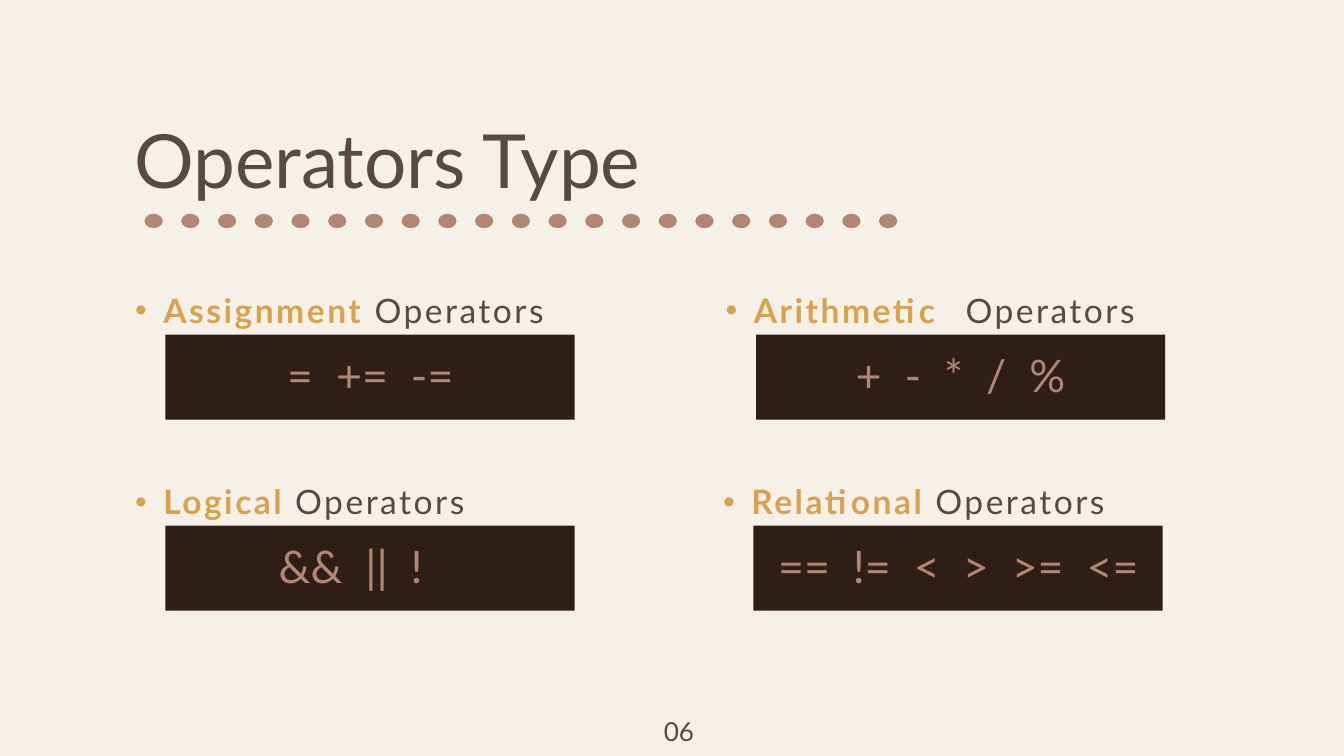
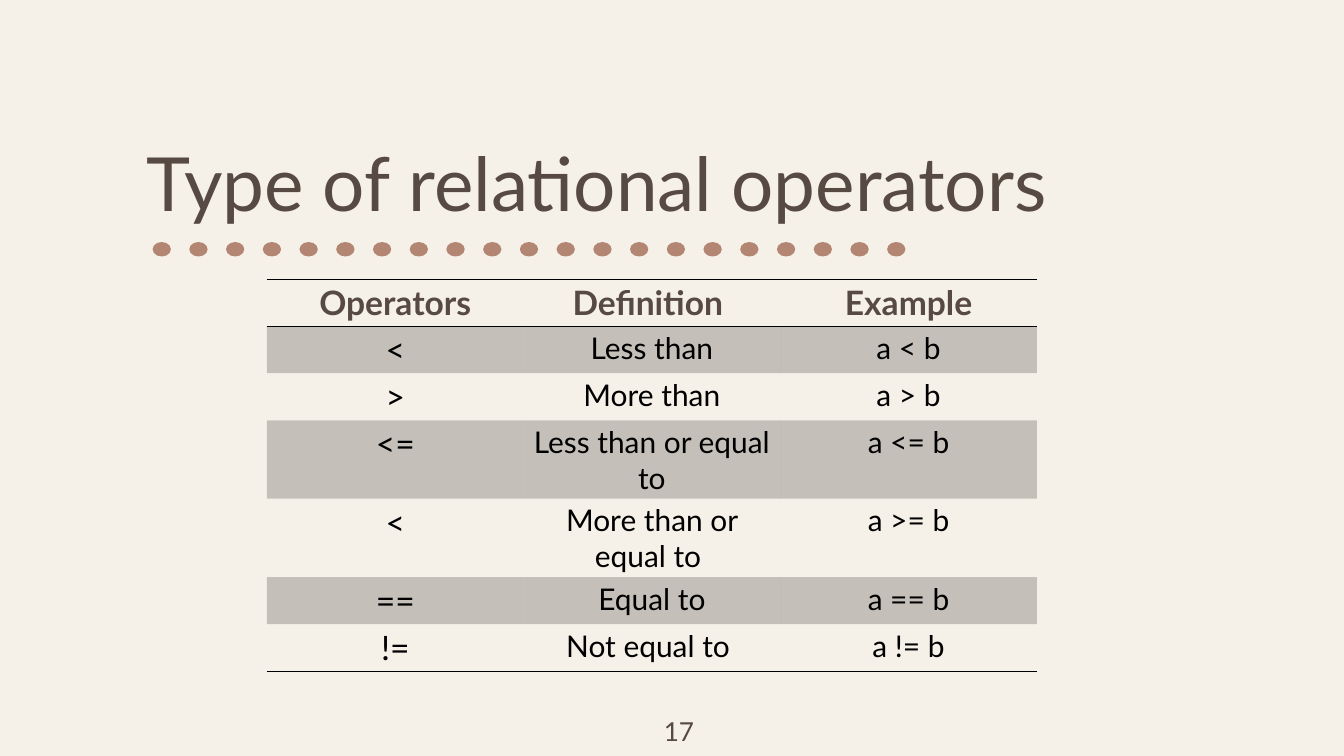
from math import cos, pi, sin

from lxml.etree import SubElement
from pptx import Presentation
from pptx.dml.color import RGBColor
from pptx.enum.shapes import MSO_SHAPE as Preset
from pptx.enum.text import PP_ALIGN as Align
from pptx.oxml.ns import qn
from pptx.util import Pt

CREAM = "F6F1E8"
BROWN = "574A43"
CLAY = "B28672"
GOLD = "D8A251"
DARK = "2E1E15"
BLACK = "000000"

TITLE = {"size": Pt(80), "color": BROWN}
NUMBER = {"size": Pt(28), "color": BROWN}
KIND = {"size": Pt(36), "color": GOLD, "bold": True, "spacing": 2.7}
KIND_REST = {**KIND, "color": BROWN, "bold": False}
SYMBOL = {"size": Pt(48), "color": CLAY}
SYMBOL_GAP = {**SYMBOL, "spacing": 12.3}
HEADER = {"size": Pt(36), "color": BROWN, "bold": True}
OPERATOR = {"size": Pt(36), "color": BLACK}
BODY = {"size": Pt(32), "color": BLACK}

DOT_COUNT = 21
DOT_PITCH = 39.35
DOT_RADII = (9.8, 7.75)
DOT_CORNERS = 12
PANEL_SIZE = (438.5, 91)
OPERATOR_GROUPS = [
    (177.3, 358.56, 564.5, "Assignment ", ["=", "+=", "-="], -11.5),
    (177.3, 563.3, 1065.6, "Logical ", ["&&", "||", "!"], -32.5),
    (807.3, 563.3, 514, "Relational ", ["==", "!=", "<", ">", ">=", "<="], -11.5),
    (810, 358.56, 693, "Arithmetic\t", ["+", "-", "*", "/", "%"], -12),
]
RELATIONAL_ROWS = [
    ("Operators", "Definition ", "Example"),
    ("<", "Less than", "a < b"),
    (">", "More than", "a > b"),
    ("<=", "Less than or equal to", "a <= b"),
    ("<", "More than or equal to ", "a >= b"),
    ("==", "Equal to", "a == b"),
    ("!=", "Not equal to ", "a != b"),
]


def color(code):
    return RGBColor.from_string(code)


def points(*lengths):
    return [Pt(length) for length in lengths]


def add_span(para, text, look):
    span = para.add_run()
    span.text = text
    span.font.name = "Lato"
    for name, value in look.items():
        if name == "color":
            span.font.color.rgb = color(value)
        elif name == "spacing":
            span.font._element.set("spc", str(round(value * 100)))
        else:
            setattr(span.font, name, value)


def add_text(page, area, spans, leading, align=Align.LEFT):
    box = page.shapes.add_textbox(*points(*area))
    frame = box.text_frame
    frame.word_wrap = True
    for side in ("left", "right", "top", "bottom"):
        setattr(frame, f"margin_{side}", 0)
    para = frame.paragraphs[0]
    para.alignment = align
    para.line_spacing = Pt(leading)
    for text, look in spans:
        add_span(para, text, look)
    return para


def add_bullet(para, margin, indent):
    properties = para._p.get_or_add_pPr()
    settings = {"marL": margin, "indent": indent, "defTabSz": 72}
    for name, value in settings.items():
        properties.set(name, str(Pt(value)))
    SubElement(properties, qn("a:buFont"), typeface="Arial")
    SubElement(properties, qn("a:buChar"), char="•")


def paint(shape, fill):
    shape.shadow.inherit = False
    shape.fill.solid()
    shape.fill.fore_color.rgb = color(fill)
    shape.line.fill.background()


def dot_outline(center_x, center_y):
    radius_x, radius_y = DOT_RADII
    angles = [2 * pi * corner / DOT_CORNERS for corner in range(DOT_CORNERS)]
    return [points(center_x + radius_x * cos(angle), center_y + radius_y * sin(angle))
            for angle in angles]


def add_dots(page, left, top):
    radius_x, radius_y = DOT_RADII
    outlines = [dot_outline(left + radius_x + index * DOT_PITCH, top + radius_y)
                for index in range(DOT_COUNT)]
    builder = page.shapes.build_freeform(*outlines[0][0])
    for index, outline in enumerate(outlines):
        if index:
            builder.move_to(*outline[0])
        builder.add_line_segments(outline[1:], close=True)
    paint(builder.convert_to_shape(), CLAY)


def add_page(deck, title, title_area, dots_at, number):
    page = deck.slides.add_slide(deck.slide_layouts[6])
    page.background.fill.solid()
    page.background.fill.fore_color.rgb = color(CREAM)
    add_text(page, title_area, [(title, TITLE)], 96)
    add_dots(page, *dots_at)
    add_text(page, (653, 766, 90.7, 34.5), [(number, NUMBER)], 33.6, Align.RIGHT)
    return page


def add_operator_group(page, left, top, heading_width, kind, symbols, shift):
    heading = [(kind, KIND), ("Operators", KIND_REST)]
    heading_area = (left - 63.5, top - 81.5, heading_width, 69)
    para = add_text(page, heading_area, heading, 77)
    add_bullet(para, 61.2, -30.2)
    panel = page.shapes.add_shape(Preset.RECTANGLE, *points(left, top, *PANEL_SIZE))
    paint(panel, DARK)
    spans = [(symbols[0], SYMBOL)]
    for symbol in symbols[1:]:
        spans += [(" ", SYMBOL_GAP), (symbol, SYMBOL)]
    add_text(page, (left + shift, top + 27, 462, 49), spans, 45, Align.CENTER)


def set_borders(cell, ruled_sides):
    properties = cell._tc.get_or_add_tcPr()
    for side in "LRTB":
        line = SubElement(properties, qn(f"a:ln{side}"), w=str(Pt(1)))
        if side in ruled_sides:
            fill = SubElement(line, qn("a:solidFill"))
            SubElement(fill, qn("a:srgbClr"), val=BLACK)
        else:
            SubElement(line, qn("a:noFill"))


def set_band(cell, shaded):
    if not shaded:
        cell.fill.background()
        return
    cell.fill.solid()
    cell.fill.fore_color.rgb = color(BLACK)
    tint = cell._tc.tcPr.find(f"{qn('a:solidFill')}/{qn('a:srgbClr')}")
    SubElement(tint, qn("a:alpha"), val="20000")


def add_banded_table(page, area, rows):
    table = page.shapes.add_table(len(rows), len(rows[0]), *points(*area)).table
    table.horz_banding = False
    table.first_row = False
    last = len(rows) - 1
    ruled = {0: "TB", 1: "T", last: "B"}
    for row_index, texts in enumerate(rows):
        for column_index, text in enumerate(texts):
            cell = table.cell(row_index, column_index)
            set_borders(cell, ruled.get(row_index, ""))
            set_band(cell, row_index % 2 == 1)
            para = cell.text_frame.paragraphs[0]
            para.alignment = Align.CENTER
            if row_index == 0:
                look = HEADER
            else:
                look = BODY if column_index else OPERATOR
            add_span(para, text, look)


def main():
    deck = Presentation()
    deck.slide_width, deck.slide_height = points(1440, 810)

    page = add_page(deck, "Operators Type", (144, 121.7, 808.5, 97), (154.8, 229), "06")
    for group in OPERATOR_GROUPS:
        add_operator_group(page, *group)

    page = add_page(deck, "Type of relational operators",
                    (157, 147, 1126, 97), (163.5, 259.3), "17")
    add_banded_table(page, (286, 299, 825, 206.5), RELATIONAL_ROWS)

    deck.save("out.pptx")


if __name__ == "__main__":
    main()
